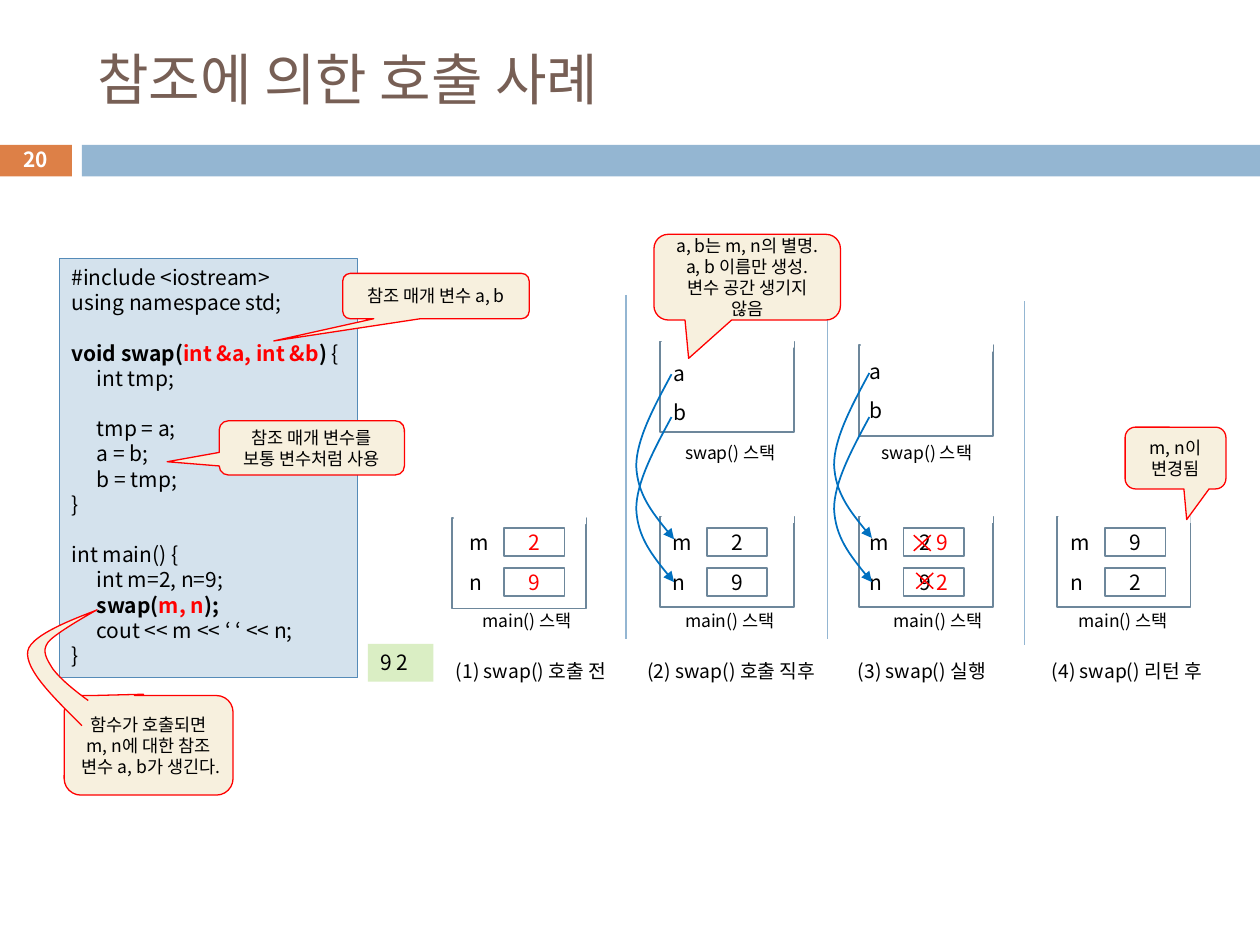
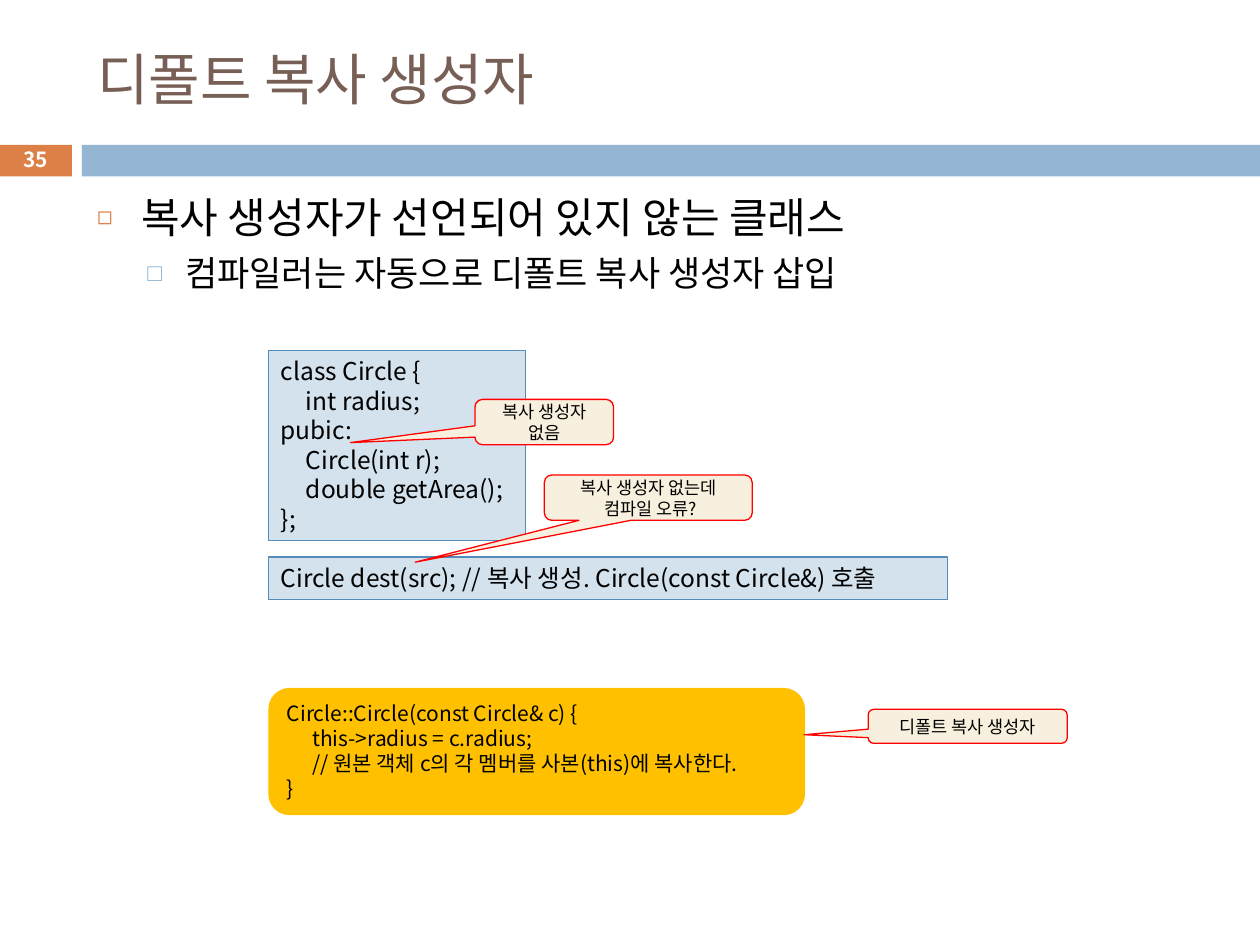
from lxml.etree import SubElement
from pptx import Presentation
from pptx.dml.color import RGBColor
from pptx.enum.shapes import MSO_CONNECTOR, MSO_SHAPE as Kind
from pptx.enum.text import MSO_ANCHOR as Anchor, MSO_AUTO_SIZE, PP_ALIGN as Align
from pptx.oxml.ns import qn
from pptx.util import Inches, Pt

FONT = "Noto Sans CJK KR"
BLACK, WHITE, RED = "000000", "FFFFFF", "FF0000"
BROWN, ORANGE, BLUE = "775F55", "DD8047", "94B6D2"
CODE_FILL, CODE_LINE, STACK_LINE = "D4E2ED", "558BB8", "6D879B"
CREAM, GREEN, YELLOW, ARROW = "F7F0DE", "DAEEC4", "FFC000", "0070C0"
LINE_HEIGHT = 1.2
BOLD = {"bold": True}
BOLD_RED = {"bold": True, "color": RED}
MIDDLE = {"align": Align.CENTER, "anchor": Anchor.MIDDLE}
rgb = RGBColor.from_string


def add_box(page, at, fill=None, line=None, width=1, kind=Kind.RECTANGLE):
    """Add a preset shape, or a text box when kind is None."""
    place = [Inches(length) for length in at]
    if kind is None:
        return page.shapes.add_textbox(*place)
    box = page.shapes.add_shape(kind, *place)
    box.shadow.inherit = False
    box.fill.solid()
    box.fill.fore_color.rgb = rgb(fill)
    if line:
        box.line.color.rgb = rgb(line)
        box.line.width = Pt(width)
    else:
        box.line.fill.background()
    return box


def write(box, *lines, size=12, color=BLACK, bold=False, align=Align.LEFT, anchor=Anchor.TOP):
    """Write lines; a line is text or a list of (text, format changes). An empty line is a gap."""
    frame = box.text_frame
    frame.word_wrap = True
    frame.auto_size = MSO_AUTO_SIZE.NONE
    frame.vertical_anchor = anchor
    para, gap = None, 0
    for line in lines:
        if not line:
            gap = size * LINE_HEIGHT
            continue
        para = frame.add_paragraph() if para else frame.paragraphs[0]
        para.alignment = align
        para.line_spacing = Pt(size * LINE_HEIGHT)
        para.space_before = Pt(gap)
        gap = 0
        spans = [(line, {})] if isinstance(line, str) else line
        if spans[0][0].startswith("\t"):
            tabs = SubElement(para._p.get_or_add_pPr(), qn("a:tabLst"))
            SubElement(tabs, qn("a:tab"), pos=str(Inches(0.2)), algn="l")
        for text, changes in spans:
            span = para.add_run()
            span.text = text
            span.font.name = FONT
            span.font.size = Pt(size)
            span.font.bold = changes.get("bold", bold)
            span.font.color.rgb = rgb(changes.get("color", color))
            SubElement(span._r.get_or_add_rPr(), qn("a:ea"), typeface=FONT)


deck = Presentation()
deck.slide_width, deck.slide_height = Inches(10), Inches(7.5)

# Shared title, bands and page number
pages = []
for layout, title, number in [(5, "참조에 의한 호출 사례", "20"), (1, "디폴트 복사 생성자", "35")]:
    page = deck.slides.add_slide(deck.slide_layouts[layout])
    pages.append(page)
    add_box(page, (-0.01, 1.15, 0.58, 0.25), ORANGE)
    add_box(page, (0.65, 1.15, 9.35, 0.25), BLUE)
    heading = page.shapes.title
    heading.left, heading.top = Inches(0.67), Inches(0.25)
    heading.width, heading.height = Inches(8.92), Inches(0.74)
    write(heading, title, size=32, color=BROWN, anchor=Anchor.MIDDLE)
    write(add_box(page, (-0.01, 1.13, 0.58, 0.27), kind=None), number,
          size=11.9, color=WHITE, bold=True, **MIDDLE)
swap_page, copy_page = pages

# Swap program and its output
program = add_box(swap_page, (0.47, 2.05, 2.37, 3.33), CODE_FILL, CODE_LINE, 0.75)
write(program,
      "#include <iostream>",
      "using namespace std;",
      "",
      [("void swap(", BOLD), ("int &a, int &b", BOLD_RED), (") ", BOLD), ("{", {})],
      "\tint tmp;",
      "",
      "\ttmp = a;",
      "\ta = b;",
      "\tb = tmp;",
      "}",
      "",
      "int main() {",
      "\tint m=2, n=9;",
      [("\t", {}), ("swap(", BOLD), ("m, n", BOLD_RED), (");", BOLD)],
      "\tcout << m << ‘ ‘ << n;",
      "}")
write(add_box(swap_page, (2.92, 5.11, 0.52, 0.3), GREEN), "9 2")

# Stack frames: a box whose top edge is covered by a white strip
for left, top in [(5.24, 2.71), (6.82, 2.74), (3.59, 4.11), (5.24, 4.1), (6.82, 4.1), (8.39, 4.1)]:
    add_box(swap_page, (left, top, 1.06, 0.72), WHITE, STACK_LINE)
    add_box(swap_page, (left + 0.01, top - 0.04, 1.05, 0.09), WHITE)

# Variables of main() in the four stages
red = {"color": RED}
stages = [
    # name left, label left, caption left, caption width, caption, values of m and n
    (3.63, 3.73, 3.52, 1.46, "(1) swap() 호출 전", [[("2", red)], [("9", red)]]),
    (5.24, 5.34, 5.04, 1.61, "(2) swap() 호출 직후", ["2", "9"]),
    (6.8, 6.99, 6.71, 1.25, "(3) swap() 실행", [[("2 ", {}), ("9", red)], [("9 ", {}), ("2", red)]]),
    (8.4, 8.46, 8.25, 1.46, "(4) swap() 리턴 후", ["9", "2"]),
]
for name_left, label_left, caption_left, caption_width, caption, values in stages:
    for row, (name, value) in enumerate(zip("mn", values)):
        top = 4.15 + 0.32 * row
        write(add_box(swap_page, (name_left, top, 0.53, 0.3), kind=None), name)
        write(add_box(swap_page, (name_left + 0.37, top + 0.04, 0.48, 0.22), WHITE, STACK_LINE),
              value, **MIDDLE)
    write(add_box(swap_page, (label_left, 4.79, 0.93, 0.27), kind=None), "main() 스택", size=10)
    write(add_box(swap_page, (caption_left, 5.18, caption_width, 0.29), kind=None), caption, size=11)

# References a and b of swap()
for name_left, name_top, label_left in [(5.25, 2.81, 5.34), (6.8, 2.8, 6.9)]:
    for row, name in enumerate("ab"):
        write(add_box(swap_page, (name_left, name_top + 0.31 * row, 0.53, 0.3), kind=None), name)
    write(add_box(swap_page, (label_left, 3.46, 0.94, 0.27), kind=None), "swap() 스택", size=10)

# Dividers between stages
for left, top, bottom in [(4.97, 2.34, 5.07), (6.57, 2.33, 5.07), (8.13, 2.39, 5.12)]:
    divider = swap_page.shapes.add_connector(
        MSO_CONNECTOR.STRAIGHT, Inches(left), Inches(top), Inches(left), Inches(bottom))
    divider.line.color.rgb = rgb(BLUE)
    divider.line.width = Pt(0.79)
    SubElement(divider._element.spPr, qn("a:effectLst"))

# Crosses over the replaced values
for left, top in [(7.19, 4.19), (7.21, 4.49)]:
    cross = add_box(swap_page, (left, top, 0.26, 0.24), RED, kind=Kind.MATH_MULTIPLY)
    cross.adjustments[0] = 0.048

# Bulleted list about the default copy constructor
body = copy_page.placeholders[1]
body.left, body.top, body.width, body.height = Inches(0.67), Inches(1.47), Inches(8.92), Inches(5.51)
write(body, "복사 생성자가 선언되어 있지 않는 클래스", "컴파일러는 자동으로 디폴트 복사 생성자 삽입", size=24)
bullets = [
    # text size, space before, margin, indent, bullet colour, bullet percent, bullet
    (24, 7, 0.35, -0.35, ORANGE, 60, "◻"),
    (20, 5.5, 0.7, -0.3, BLUE, 70, "□"),
]
for level, (para, bullet) in enumerate(zip(body.text_frame.paragraphs, bullets)):
    size, before, margin, indent, color, percent, mark = bullet
    para.level = level
    para.space_before = Pt(before)
    para.line_spacing = Pt(size * LINE_HEIGHT)
    para.runs[0].font.size = Pt(size)
    props = para._p.get_or_add_pPr()
    props.set("marL", str(Inches(margin)))
    props.set("indent", str(Inches(indent)))
    SubElement(SubElement(props, qn("a:buClr")), qn("a:srgbClr"), val=color)
    SubElement(props, qn("a:buSzPct"), val=str(percent * 1000))
    SubElement(props, qn("a:buChar"), char=mark)

# Class, call and generated constructor
write(add_box(copy_page, (2.13, 2.78, 2.04, 1.51), CODE_FILL, CODE_LINE, 0.75),
      "class Circle {",
      "\tint radius;",
      "pubic:",
      "\tCircle(int r);",
      "\tdouble getArea();",
      "};", size=14)
write(add_box(copy_page, (2.13, 4.42, 5.39, 0.34), CODE_FILL, CODE_LINE, 0.75),
      "Circle dest(src); // 복사 생성. Circle(const Circle&) 호출", size=14)
write(add_box(copy_page, (2.13, 5.46, 4.26, 1.01), YELLOW, kind=Kind.ROUNDED_RECTANGLE),
      "Circle::Circle(const Circle& c) {",
      "\tthis->radius = c.radius;",
      "\t// 원본 객체 c의 각 멤버를 사본(this)에 복사한다.",
      "}")

# Callouts: place, tip relative to the centre, lines
callouts = [
    (swap_page, (5.19, 1.86, 1.48, 0.68), (-0.314, 0.948),
     ["a, b는 m, n의 별명.", "a, b 이름만 생성.", "변수 공간 생기지 않음"]),
    (swap_page, (8.93, 3.39, 0.8, 0.49), (0.111, 0.997), ["m, n이 변경됨"]),
    (swap_page, (2.72, 2.17, 1.48, 0.36), (-0.87, 0.991), ["참조 매개 변수 a, b"]),
    (swap_page, (1.74, 3.34, 1.47, 0.43), (-0.781, 0.256), ["참조 매개 변수를 보통 변수처럼 사용"]),
    (swap_page, (0.51, 5.52, 1.34, 0.79), (-0.03, -0.513),
     ["함수가 호출되면 m, n에 대한 참조 변수 a, b가 생긴다."]),
    (copy_page, (3.77, 3.17, 1.1, 0.36), (-1.398, 0.454), ["복사 생성자 없음"]),
    (copy_page, (4.32, 3.77, 1.65, 0.36), (-1.121, 1.424), ["복사 생성자 없는데", " 컴파일 오류?"]),
    (copy_page, (6.89, 5.63, 1.58, 0.27), (-0.822, 0.247), ["디폴트 복사 생성자"]),
]
for page, at, tip, lines in callouts:
    callout = add_box(page, at, CREAM, RED, 0.75, Kind.ROUNDED_RECTANGULAR_CALLOUT)
    callout.adjustments[0], callout.adjustments[1] = tip
    write(callout, *lines, size=10, **MIDDLE)

# Curves as chains of cubic segments: reference arrows and the bent callout tail
arrow_bend = [(0, 0), (-0.14, 0.26), (-0.28, 0.52), (-0.28, 0.73),
              (-0.27, 0.95), (-0.13, 1.13), (0.02, 1.31)]
tail_bend = [(0.65, 5.76), (0.43, 5.54), (0.2, 5.32), (0.22, 5.17), (0.24, 5.02),
             (0.74, 4.86), (0.77, 4.84), (0.79, 4.83), (0.44, 5.02), (0.38, 5.1),
             (0.33, 5.17), (0.37, 5.23), (0.42, 5.31), (0.48, 5.39), (0.59, 5.48), (0.7, 5.56)]
curves = [([(left + x, top + y) for x, y in arrow_bend], None, ARROW, 1)
          for left, top in [(5.33, 2.97), (5.33, 3.31), (6.9, 2.96), (6.9, 3.31)]]
curves.append((tail_bend, CREAM, RED, 0.75))
for knots, fill, line, width in curves:
    start, *points = [(Inches(x), Inches(y)) for x, y in knots]
    builder = swap_page.shapes.build_freeform(*start)
    builder.add_line_segments(points, close=False)
    curve = builder.convert_to_shape()
    # Turn every three straight steps into one cubic segment
    outline = next(curve._element.iter(qn("a:path")))
    steps = outline.findall(qn("a:lnTo"))
    for first in range(0, len(steps), 3):
        cubic = SubElement(outline, qn("a:cubicBezTo"))
        for step in steps[first:first + 3]:
            cubic.append(step[0])
            outline.remove(step)
    curve.shadow.inherit = False
    curve.line.color.rgb = rgb(line)
    curve.line.width = Pt(width)
    if fill:
        curve.fill.solid()
        curve.fill.fore_color.rgb = rgb(fill)
    else:
        curve.fill.background()
        SubElement(curve.line._get_or_add_ln(), qn("a:tailEnd"), type="triangle")

deck.save("out.pptx")
